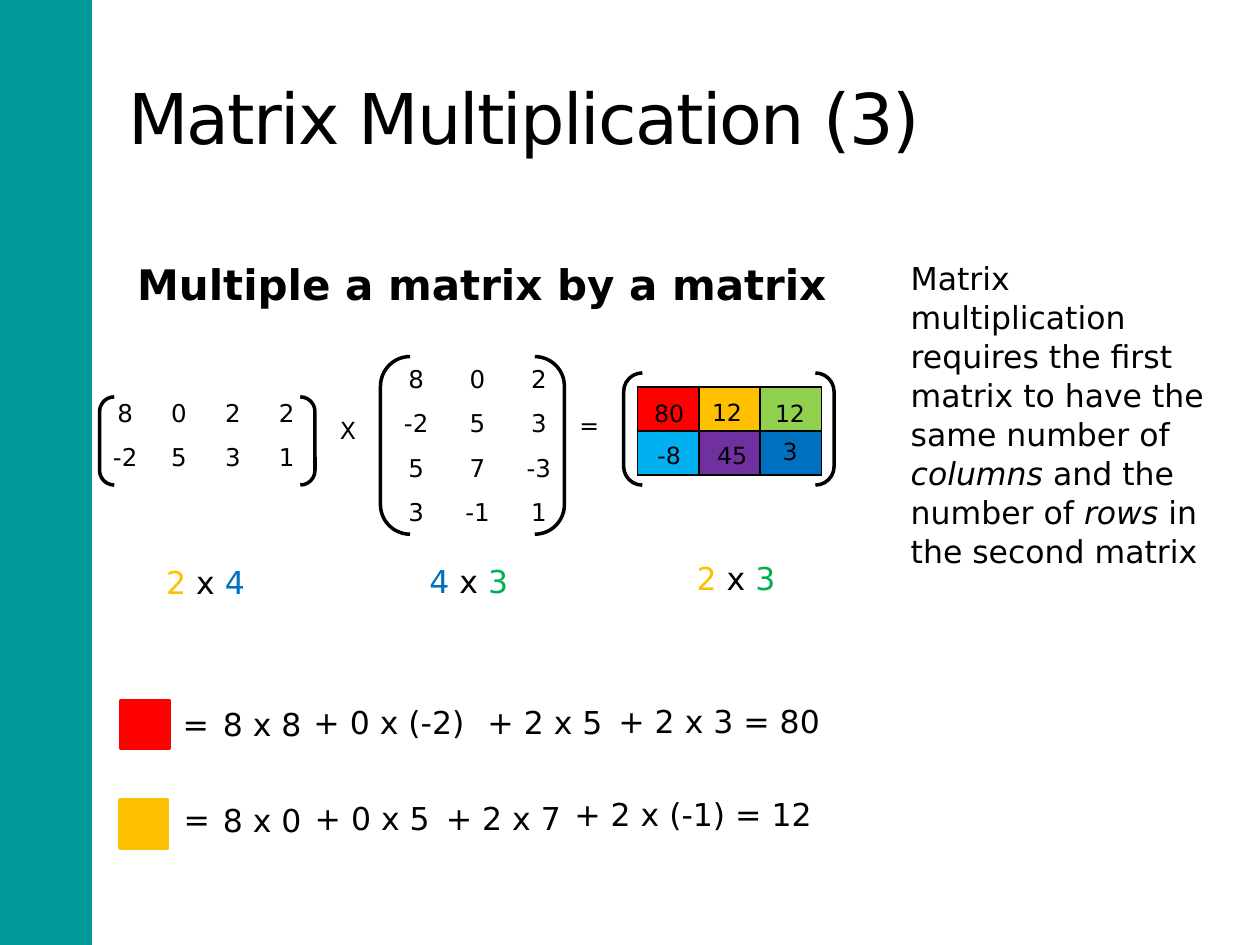
from lxml.etree import SubElement
from pptx import Presentation
from pptx.dml.color import RGBColor
from pptx.enum.shapes import MSO_SHAPE
from pptx.enum.text import MSO_ANCHOR, PP_ALIGN
from pptx.oxml import parse_xml
from pptx.oxml.ns import nsdecls, qn
from pptx.util import Inches, Pt

COLORS = {"black": "000000", "white": "FFFFFF", "teal": "009999", "red": "FF0000",
          "gold": "FFC000", "lime": "92D050", "sky": "00B0F0", "purple": "7030A0",
          "blue": "0070C0", "green": "00B050"}


def rgb(name):
    return RGBColor.from_string(COLORS[name])


class Deck:
    """Style and current slide; lengths are cells of a 100 x 75 grid."""
    font = "DejaVu Sans"
    columns, rows = 100, 75
    width, height = Inches(10), Inches(7.5)

    def __init__(self):
        self.prs = Presentation()
        self.prs.slide_width, self.prs.slide_height = self.width, self.height
        self.s = self.prs.slides.add_slide(self.prs.slide_layouts[6])

    def box(self, x, y, w, h):
        col, row = self.width / self.columns, self.height / self.rows
        return round(x * col), round(y * row), round(w * col), round(h * row)

    def run(self, p, text, color="black", **style):
        r = p.add_run()
        r.text = text
        for key, value in {"name": self.font, "size": Pt(18), **style}.items():
            setattr(r.font, key, value)
        r.font.color.rgb = rgb(color)
        return r

    def text(self, at, parts, wrap=False, anchor=MSO_ANCHOR.TOP,
             align=PP_ALIGN.LEFT, spacing=None, **style):
        """Parts is a string or a list of (text, own style) pairs."""
        tf = self.s.shapes.add_textbox(*self.box(*at)).text_frame
        tf.word_wrap, tf.vertical_anchor = wrap, anchor
        p = tf.paragraphs[0]
        p.alignment, p.line_spacing = align, spacing
        for part, own in [(parts, {})] if isinstance(parts, str) else parts:
            r = self.run(p, part, **{**style, **own})
        return r

    def shape(self, kind, at, fill=None, line=None):
        sp = self.s.shapes.add_shape(kind, *self.box(*at))
        sp.shadow.inherit = False
        if fill:
            sp.fill.solid()
            sp.fill.fore_color.rgb = rgb(fill)
        else:
            sp.fill.background()
        if line:
            sp.line.color.rgb, sp.line.width = rgb(line), Pt(2)
        else:
            sp.line.fill.background()

    def border(self, cell):
        tcPr = cell._tc.get_or_add_tcPr()
        for i, side in enumerate(("lnL", "lnR", "lnT", "lnB")):
            ln = parse_xml(f'<a:{side} {nsdecls("a")} w="12700"/>')
            fill = SubElement(ln, qn("a:solidFill"))
            SubElement(fill, qn("a:srgbClr"), val=COLORS["black"])
            tcPr.insert(i, ln)

    def matrix(self, at, bracket, values=None, fills=None):
        """Table of values or of coloured cells, between round brackets."""
        grid = values or fills
        table = self.s.shapes.add_table(len(grid), len(grid[0]), *self.box(*at)).table
        table.first_row = table.horz_banding = False
        for i, row in enumerate(grid):
            for j, item in enumerate(row):
                cell = table.cell(i, j)
                for side in ("left", "right", "top", "bottom"):
                    setattr(cell, f"margin_{side}", 0)
                cell.vertical_anchor = MSO_ANCHOR.MIDDLE
                cell.fill.solid()
                cell.fill.fore_color.rgb = rgb(item if fills else "white")
                if fills:
                    self.border(cell)
                else:
                    p = cell.text_frame.paragraphs[0]
                    p.alignment = PP_ALIGN.CENTER
                    self.run(p, str(item), size=Pt(14))
        self.shape(MSO_SHAPE.DOUBLE_BRACKET, bracket, line="black")

    def dimensions(self, x, y, first, second):
        """Matrix size such as 2 x 4, from two (number, colour) pairs."""
        (m, m_color), (n, n_color) = first, second
        self.text((x, y, 8.5, 4), [(m, {"color": m_color}), (" x ", {}),
                                   (n, {"color": n_color})])

    def equation(self, color, swatch, terms):
        """Colour swatch followed by (x, y, width, text) terms."""
        self.shape(MSO_SHAPE.RECTANGLE, (*swatch, 3.8, 3.8), color, color)
        for x, y, w, term in terms:
            self.text((x, y, w, 4), term)


def main():
    d = Deck()
    d.shape(MSO_SHAPE.RECTANGLE, (-0.2, 0, 7.5, 75), "teal")
    title = d.text((9.2, 3, 83.3, 12.5), "Matrix Multiplication (3)", wrap=True,
                   anchor=MSO_ANCHOR.MIDDLE, size=Pt(40))
    title.font._element.set("spc", "-100")
    italic = {"italic": True}
    d.text((71.3, 20, 26.4, 41.2), [
        ("Matrix multiplication requires the first matrix to have the same number of ", {}),
        ("columns ", italic), ("and the number of ", {}),
        ("rows ", italic), ("in the second matrix", {})], wrap=True, spacing=1.03)
    d.text((9.9, 20, 56.8, 5), "Multiple a matrix by a matrix", size=Pt(24), bold=True)

    d.matrix((30.6, 28.4, 14.6, 14.1), (30.2, 28.3, 14.6, 14.1),
             values=[[8, 0, 2], [-2, 5, 3], [5, 7, -3], [3, -1, 1]])
    d.matrix((50.6, 30.7, 14.6, 7), (49.5, 29.6, 16.7, 8.9),
             fills=[["red", "gold", "lime"], ["sky", "purple", "blue"]])
    d.matrix((7.8, 31.1, 17.1, 7), (7.9, 31.5, 17.1, 7),
             values=[[8, 0, 2, 2], [-2, 5, 3, 1]])

    small = Pt(13.5)
    d.text((45, 32.1, 3.6, 3.3), "=", size=small)
    d.text((26, 32.5, 3.3, 3.3), "X", size=small)
    for x, y, value in [(50.7, 31.2, "80"), (55.3, 31.1, "12"), (60.3, 31.2, "12"),
                        (50.7, 34.5, "-8"), (55.7, 34.5, "45"), (60.3, 34.2, "3")]:
        d.text((x, y, 4.8, 3.3), value, wrap=True, align=PP_ALIGN.CENTER, size=small)

    outer_rows, inner, outer_cols = ("2", "gold"), ("4", "blue"), ("3", "green")
    d.dimensions(12.2, 44.2, outer_rows, inner)
    d.dimensions(33.1, 44.1, inner, outer_cols)
    d.dimensions(54.3, 43.9, outer_rows, outer_cols)

    d.equation("red", (9.6, 55.6), [
        (13.5, 55.5, 4.1, "="), (16.7, 55.5, 8.5, "8 x 8"),
        (23.1, 55.3, 15.8, " + 0 x (-2)"), (37.7, 55.3, 11.5, "+ 2 x 5"),
        (48.1, 55.2, 18.6, "+ 2 x 3 = 80")])
    d.equation("gold", (9.5, 63.5), [
        (13.6, 63, 4.1, "="), (16.7, 63.1, 8.5, "8 x 0"),
        (23.2, 62.9, 12.4, " + 0 x 5"), (34.4, 62.9, 11.5, "+ 2 x 7"),
        (44.6, 62.6, 22, "+ 2 x (-1) = 12")])
    d.prs.save("out.pptx")


if __name__ == "__main__":
    main()
